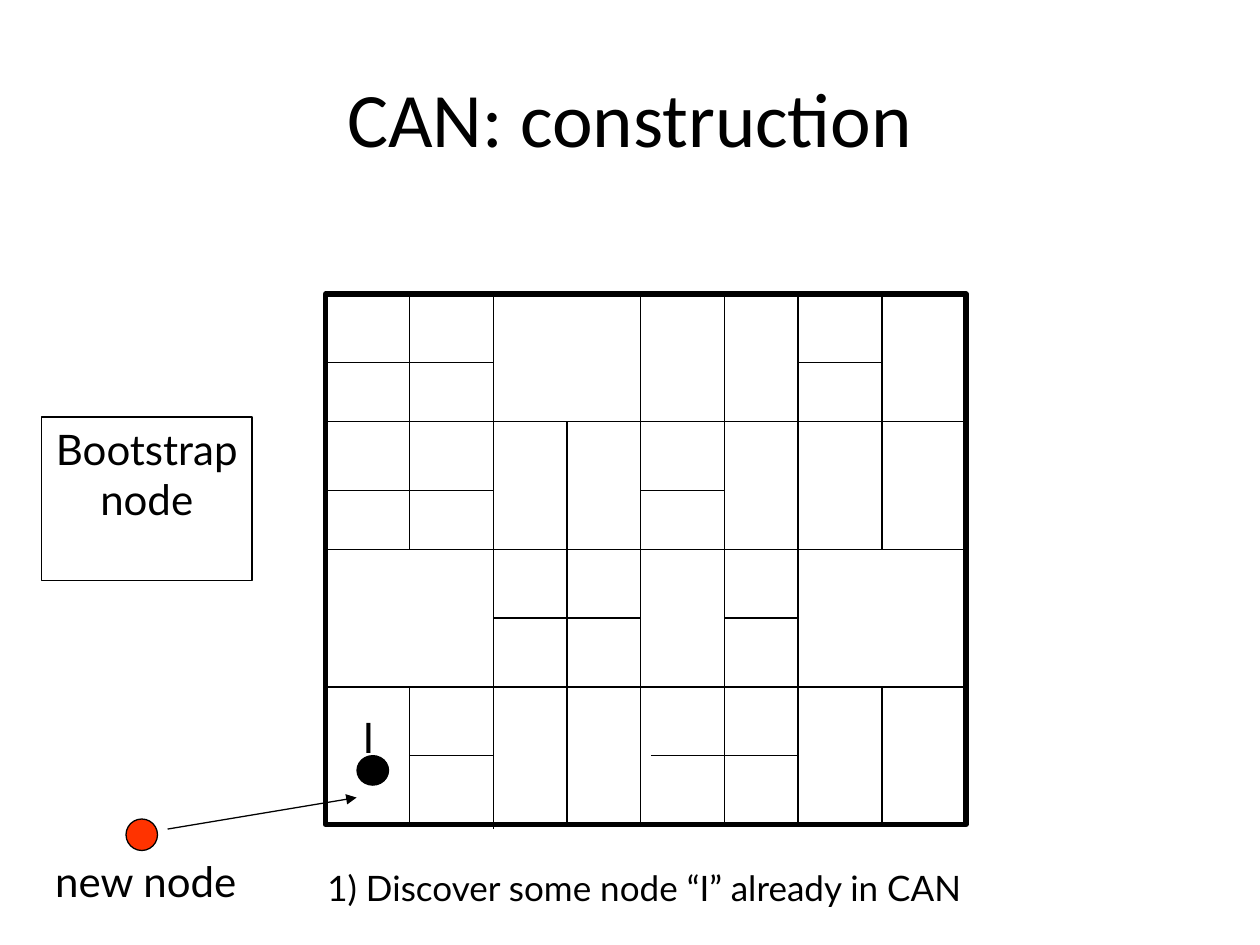
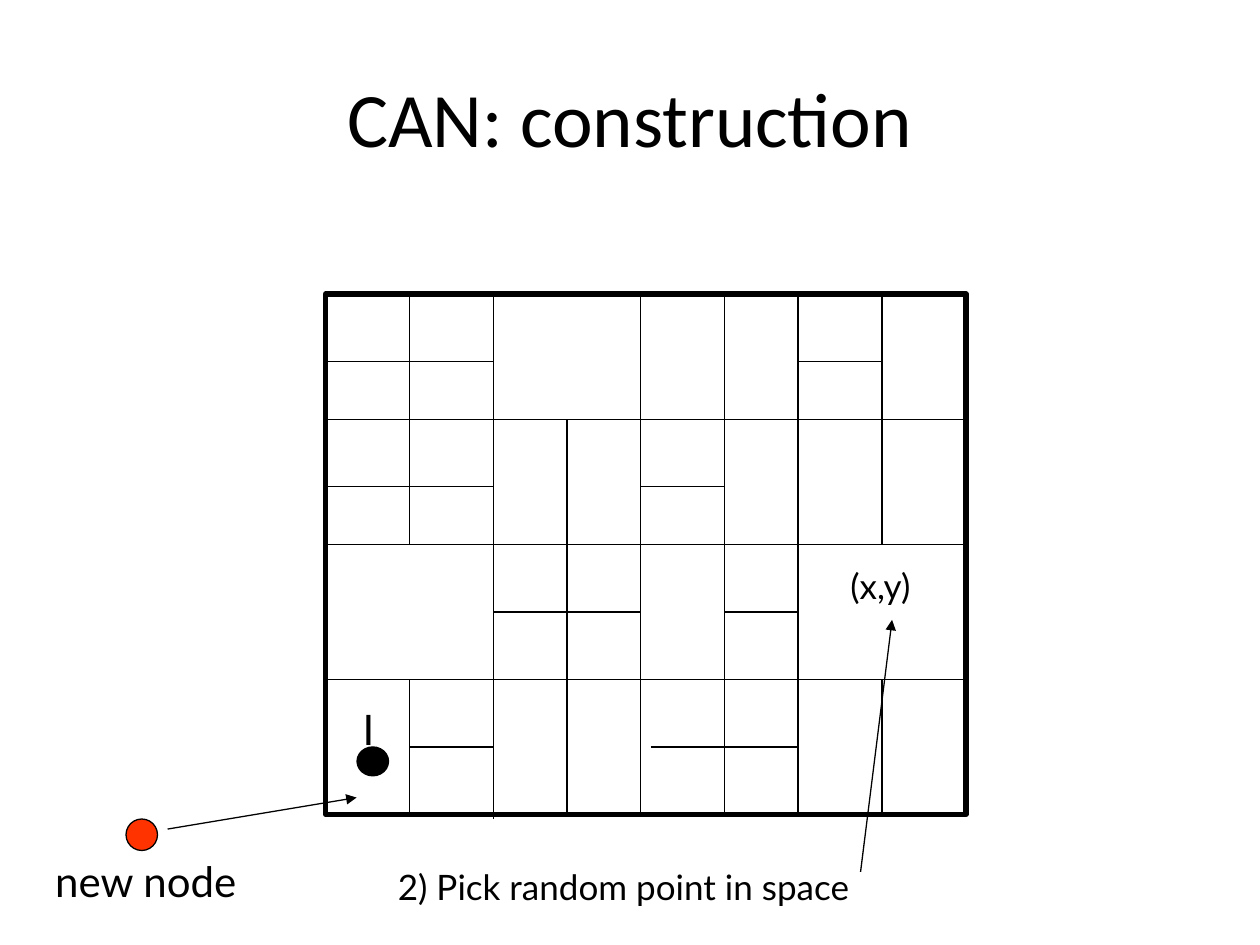
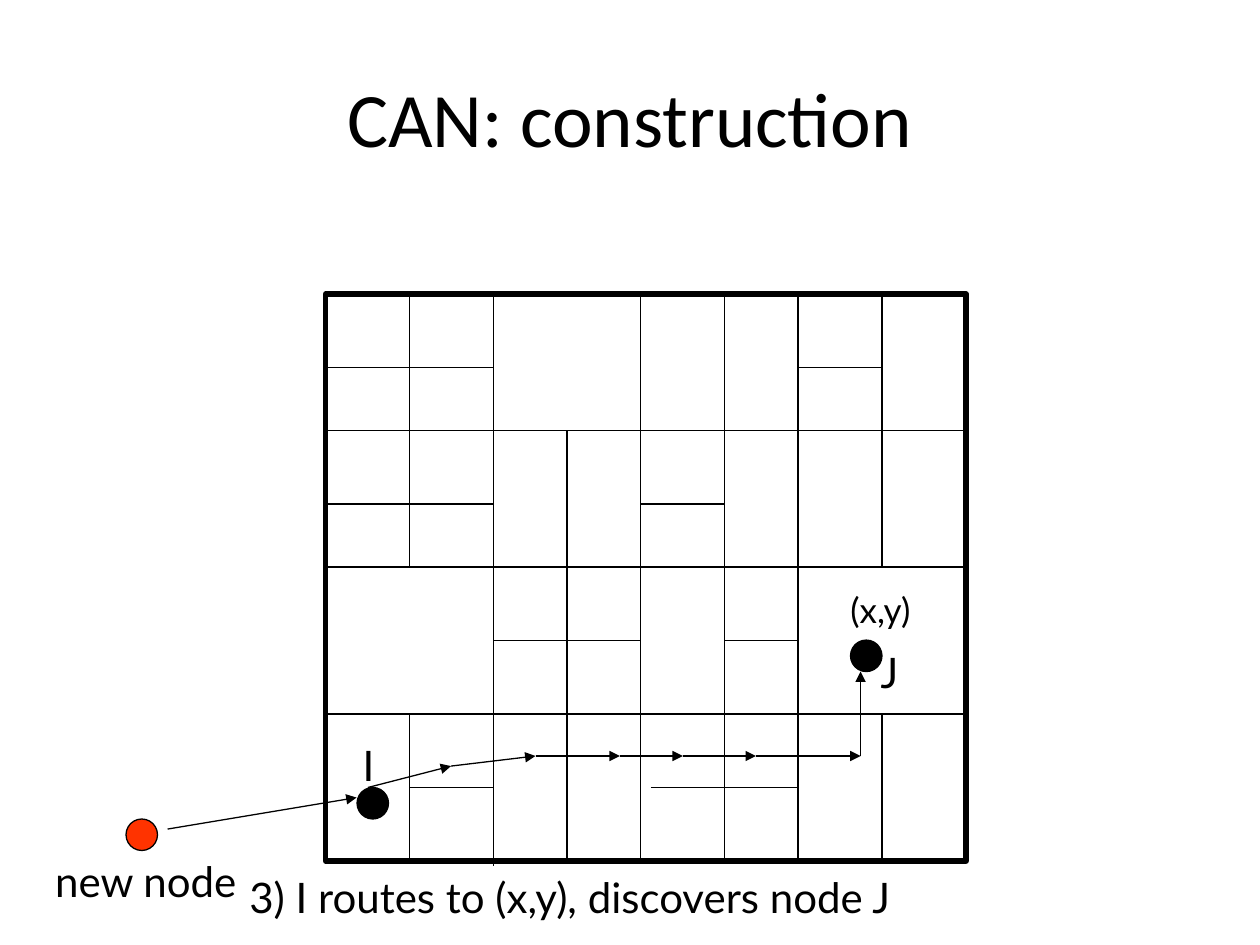
"""Build three slides on how a new node joins a CAN."""
from dataclasses import dataclass
from itertools import pairwise

from lxml.etree import SubElement
from pptx import Presentation
from pptx.dml.color import RGBColor
from pptx.enum.shapes import MSO_CONNECTOR, MSO_SHAPE
from pptx.enum.text import MSO_ANCHOR as Anchor, PP_ALIGN as Align
from pptx.oxml.ns import qn
from pptx.util import Inches, Pt


@dataclass(frozen=True)
class Theme:
    ink: RGBColor = RGBColor(0, 0, 0)
    newcomer: RGBColor = RGBColor(0xFF, 0x33, 0x00)
    title_font: str = "Calibri"
    body_font: str = "Lato"
    title_size: int = 44
    label_size: int = 24
    note_size: int = 20
    thin: float = 0.75
    thick: float = 3


THEME = Theme()
TITLE = "CAN: construction"
BOOTSTRAP = "Bootstrap\vnode"
DOT = 0.25

UNIT = 1 / 12
SPACE_LEFT, SPACE_TOP = 31 * UNIT, 28 * UNIT
COLUMNS, ROWS = 61, 54
FULL_HEIGHT = ROWS * UNIT
VERTICAL_BORDERS = [
    (8, 0, 13), (8, 13, 26), (8, 40, 54),
    (16, 0, 54.5),
    (23, 13, 26), (23, 26, 40), (23, 40, 54),
    (30, -0.25, 54.25),
    (38, 0, 13), (38, 13, 26), (38, 26, 43), (38, 40, 54),
    (45, 0, 54),
    (53, 0, 13), (53, 13, 26), (53, 40, 54),
]
HORIZONTAL_BORDERS = [
    (7, 0, 16), (7, 45, 53),
    (13, 0, 61),
    (20, 0, 16), (20, 30, 38),
    (26, 0, 61),
    (33, 16, 30), (33, 38, 45),
    (40, 0, 61),
    (47, 8, 16), (47, 31, 45),
]

STEPS = [
    dict(height=4.21, bootstrap=True, point=False, target=False, route=[],
         caption=("1) Discover some node “I” already in CAN", 2.5, 6.83, 6.92, 0.44, THEME.note_size)),
    dict(height=4.13, bootstrap=False, point=True, target=False,
         route=[(6.83, 6.92), (7.08, 4.92)],
         caption=("2) Pick random point in space", 3.06, 6.82, 4.33, 0.44, THEME.note_size)),
    dict(height=4.5, bootstrap=False, point=True, target=True,
         route=[(2.92, 6.25), (3.58, 6.08), (4.25, 6), (4.92, 6), (5.42, 6), (6, 6), (6.83, 6), (6.83, 5.33)],
         caption=("3) I routes to (x,y), discovers node J", 1.88, 6.87, 8.02, 0.5, THEME.label_size)),
]


def write(shape, text, size, font=THEME.body_font, align=Align.LEFT, anchor=Anchor.TOP):
    frame = shape.text_frame
    frame.word_wrap = True
    frame.vertical_anchor = anchor
    frame.text = text
    paragraph = frame.paragraphs[0]
    paragraph.alignment = align
    paragraph.font.name = font
    paragraph.font.size = Pt(size)
    paragraph.font.color.rgb = THEME.ink


def add_label(slide, text, left, top, width, height, size=THEME.label_size, **style):
    label = slide.shapes.add_textbox(*map(Inches, (left, top, width, height)))
    write(label, text, size, **style)


def add_outline(slide, kind, left, top, width, height, fill=None, weight=THEME.thin):
    outline = slide.shapes.add_shape(kind, *map(Inches, (left, top, width, height)))
    outline.shadow.inherit = False
    if fill is None:
        outline.fill.background()
    else:
        outline.fill.solid()
        outline.fill.fore_color.rgb = fill
    outline.line.color.rgb = THEME.ink
    outline.line.width = Pt(weight)
    return outline


def add_line(slide, start, end, arrow=False):
    line = slide.shapes.add_connector(MSO_CONNECTOR.STRAIGHT, *map(Inches, (*start, *end)))
    line.line.color.rgb = THEME.ink
    line.line.width = Pt(THEME.thin)
    if arrow:
        SubElement(line.line._get_or_add_ln(), qn("a:tailEnd"), type="triangle")
    SubElement(line._element.spPr, qn("a:effectLst"))


def add_space(slide, height):
    def spot(column, row):
        return SPACE_LEFT + column * UNIT, SPACE_TOP + row / ROWS * height

    add_outline(slide, MSO_SHAPE.RECTANGLE, SPACE_LEFT, SPACE_TOP, COLUMNS * UNIT, height, weight=THEME.thick)
    for column, first, last in VERTICAL_BORDERS:
        add_line(slide, spot(column, first), spot(column, last))
    for row, first, last in HORIZONTAL_BORDERS:
        add_line(slide, spot(first, row), spot(last, row))
    add_outline(slide, MSO_SHAPE.OVAL, *spot(3, 47), DOT, DOT * height / FULL_HEIGHT, THEME.ink)
    add_label(slide, "I", 2.78, spot(0, 41.85)[1], 0.4, 0.5)


def add_new_node(slide):
    add_line(slide, (1.33, 6.58), (2.83, 6.33), arrow=True)
    add_outline(slide, MSO_SHAPE.OVAL, 1, 6.5, DOT, DOT, THEME.newcomer)
    add_label(slide, "new node", 0.34, 6.74, 1.8, 0.5)


def add_step(slide, step):
    add_label(slide, TITLE, 0.5, 0.3, 9, 1.25, THEME.title_size,
              font=THEME.title_font, align=Align.CENTER, anchor=Anchor.MIDDLE)
    add_space(slide, step["height"])
    add_new_node(slide)
    if step["bootstrap"]:
        bootstrap = add_outline(slide, MSO_SHAPE.RECTANGLE, 0.33, 3.31, 1.67, 1.3)
        write(bootstrap, BOOTSTRAP, THEME.label_size, align=Align.CENTER)
    if step["point"]:
        point_top = SPACE_TOP + 2.29 * step["height"] / FULL_HEIGHT
        add_label(slide, "(x,y)", 6.65, point_top, 1.04, 0.44, THEME.note_size)
    if step["target"]:
        add_outline(slide, MSO_SHAPE.OVAL, 6.75, 5.08, DOT, DOT, THEME.ink)
        add_label(slide, "J", 6.89, 5.08, 0.4, 0.5)
    for start, end in pairwise(step["route"]):
        add_line(slide, start, end, arrow=True)
    add_label(slide, *step["caption"])


def main():
    deck = Presentation()
    deck.slide_width, deck.slide_height = Inches(10), Inches(7.5)
    blank = deck.slide_layouts[6]
    for step in STEPS:
        add_step(deck.slides.add_slide(blank), step)
    deck.save("out.pptx")


if __name__ == "__main__":
    main()
